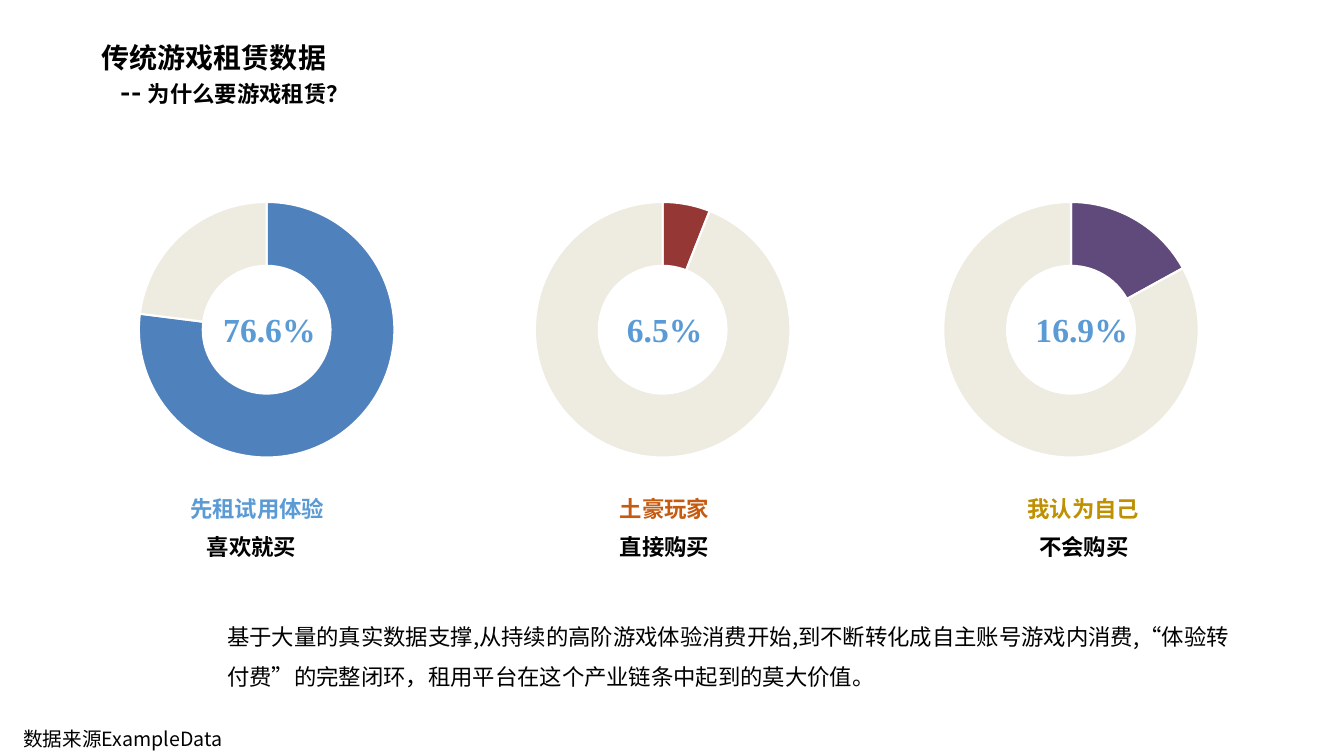
from pptx import Presentation
from pptx.chart.data import CategoryChartData as ChartData
from pptx.dml.color import RGBColor
from pptx.enum.chart import XL_CHART_TYPE as Kind
from pptx.enum.text import MSO_ANCHOR as Anchor, MSO_AUTO_SIZE as Auto, PP_ALIGN as Align
from pptx.oxml.ns import qn
from pptx.util import Cm, Pt
from lxml.etree import SubElement

BLACK = RGBColor(0, 0, 0)
WHITE = RGBColor(255, 255, 255)
SKY = RGBColor(0x5B, 0x9B, 0xD5)
RUST = RGBColor(0xC5, 0x5A, 0x11)
GOLD = RGBColor(0xBF, 0x90, 0x00)
BLUE = RGBColor(0x4F, 0x81, 0xBD)
RED = RGBColor(0x95, 0x37, 0x35)
PLUM = RGBColor(0x60, 0x4A, 0x7B)
SAND = RGBColor(0xEE, 0xEC, 0xE1)
SANS = "Noto Sans CJK SC"
SERIF = "Times New Roman"


def add_run(para, text, size, color=BLACK, bold=False, face=SANS):
    """Add one formatted run to a paragraph."""
    run = para.add_run()
    run.text = text
    font = run.font
    font.size, font.bold, font.name = Pt(size), bold, face
    font.color.rgb = color
    SubElement(font._element, qn("a:ea"), typeface=face)


def add_text(slide, box, text, size, wrap=True, align=Align.LEFT, space=1.0, **style):
    """Place a text box with one paragraph in the given box in centimetres."""
    frame = slide.shapes.add_textbox(*map(Cm, box)).text_frame
    frame.word_wrap = wrap
    frame.auto_size = Auto.SHAPE_TO_FIT_TEXT
    para = frame.paragraphs[0]
    para.alignment, para.line_spacing = align, space
    add_run(para, text, size, **style)


def add_head(slide, box):
    """Fill the title placeholder with the heading and its question."""
    title = slide.shapes.title
    title.left, title.top, title.width, title.height = map(Cm, box)
    frame = title.text_frame
    frame.word_wrap, frame.auto_size = True, Auto.NONE
    frame.vertical_anchor = Anchor.TOP
    first, second = frame.paragraphs[0], frame.add_paragraph()
    for para in (first, second):
        para.alignment, para.line_spacing = Align.LEFT, 1.0
        para.space_before = Pt(0)
    second.space_before = Pt(0.5)
    second._p.get_or_add_pPr().set("marL", str(Cm(0.48)))
    add_run(first, "传统游戏租赁数据", 20, bold=True)
    add_run(second, "-- ", 20, bold=True)
    add_run(second, "为什么要游戏租赁？", 16, bold=True)


def add_ring(slide, box, share, color):
    """Draw a doughnut with one coloured share of a hundred."""
    data = ChartData()
    data.categories = ["1", "2"]
    data.add_series("Series 1", (share, 100 - share))
    chart = slide.shapes.add_chart(Kind.DOUGHNUT, *map(Cm, box), data).chart
    chart.has_legend = chart.has_title = False
    chart.font.size, chart.font.name = Pt(10), SANS
    chart.font.color.rgb = BLACK
    plot = chart.plots[0]
    plot.vary_by_categories = True
    plot._element.find(qn("c:holeSize")).set("val", "75")
    for i, fill in enumerate((color, SAND)):
        form = plot.series[0].points[i].format
        form.fill.solid()
        form.fill.fore_color.rgb = fill
        form.line.color.rgb = WHITE
        form.line.width = Pt(1.5)


def add_panel(slide, box, share, color, rate, name, tint, act, shifts):
    """Place a ring, its percentage and two captions in the given box."""
    left, top, width, height = box
    add_ring(slide, box, share, color)
    rows = (
        (rate, 24, SKY, SERIF, 0.42 * len(rate) + 0.73, 3.03, 1.27),
        (name, 16, tint, SANS, 0.56 * len(name) + 0.53, height + 0.38, 0.94),
        (act, 16, BLACK, SANS, 0.56 * len(act) + 0.53, height + 1.33, 0.94),
    )
    for (text, size, ink, face, wide, down, tall), shift in zip(rows, shifts):
        spot = (left + (width - wide) / 2 + shift, top + down, wide, tall)
        add_text(slide, spot, text, size, wrap=False, align=Align.CENTER,
                 color=ink, bold=True, face=face)


def add_notes(slide, box, foot):
    """Place the conclusion and the data source."""
    add_text(slide, box, "基于大量的真实数据支撑,从持续的高阶游戏体验消费开始,到不断转化成自主账号"
             "游戏内消费,“体验转付费”的完整闭环，租用平台在这个产业链条中起到的莫大价值。",
             16, space=1.5)
    add_text(slide, foot, "数据来源ExampleData", 14)


def main():
    """Build the slide and save it."""
    deck = Presentation()
    deck.slide_width, deck.slide_height = Cm(33.87), Cm(19.05)
    slide = deck.slides.add_slide(deck.slide_layouts[5])
    add_head(slide, (2.31, 0.89, 14.25, 1.96))
    panels = (
        (3.15, 77, BLUE, "76.6%", "先租试用体验", SKY, "喜欢就买", (0.07, -0.24, -0.38)),
        (13.13, 6, RED, "6.5%", "土豪玩家", RUST, "直接购买", (0.05, 0.05, 0.05)),
        (23.42, 17, PLUM, "16.9%", "我认为自己", GOLD, "不会购买", (0.27, 0.31, 0.33)),
    )
    for left, *parts in panels:
        add_panel(slide, (left, 4.64, 7.14, 7.34), *parts)
    add_notes(slide, (5.48, 15.24, 25.96, 2.31), (0.34, 18.19, 7.06, 0.86))
    deck.save("out.pptx")


if __name__ == "__main__":
    main()
